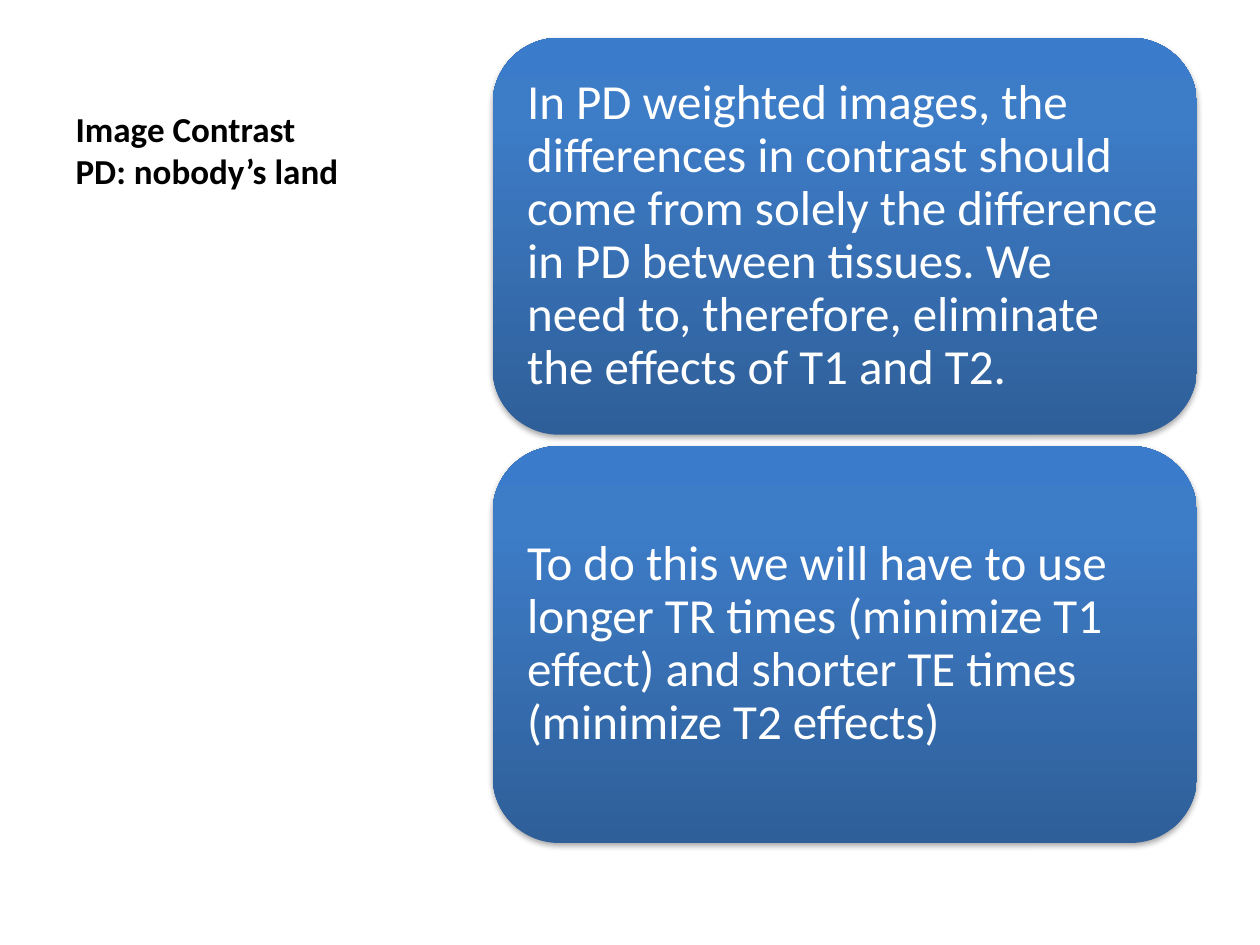
from copy import deepcopy

from lxml.etree import SubElement
from pptx import Presentation
from pptx.dml.color import RGBColor
from pptx.enum.shapes import MSO_SHAPE as Shape
from pptx.enum.text import MSO_ANCHOR as Anchor, MSO_AUTO_SIZE as AutoSize, PP_ALIGN as Align
from pptx.oxml.ns import qn
from pptx.util import Inches, Pt

TITLE_ONLY = 5
FONT = "Calibri"
GRADIENT = [(0, "2F5F99"), (0.8, "3D7CC7"), (1, "3A7CCB")]  # bottom to top

PANEL_LEFT, PANEL_TOP = 3.91, 0.3
PANEL_WIDTH, PANEL_HEIGHT = 5.59, 3.15
PANEL_GAP = 0.09
PANEL_TEXTS = [
    "In PD weighted images, the differences in contrast should come from solely "
    "the difference in PD between tissues. We need to, therefore, eliminate the "
    "effects of T1 and T2.",
    "To do this we will have to use longer TR times (minimize T1 effect) and "
    "shorter TE times (minimize T2 effects)",
]


def color(hex_string):
    return RGBColor.from_string(hex_string)


def style_paragraph(paragraph, size, hex_string, bold=False):
    paragraph.alignment = Align.LEFT
    font = paragraph.font
    font.name, font.size, font.bold = FONT, Pt(size), bold
    font.color.rgb = color(hex_string)


def add_title(slide, text):
    title = slide.shapes.title
    title.left, title.top = Inches(0.5), Inches(0.3)
    title.width, title.height = Inches(3.29), Inches(1.27)
    frame = title.text_frame
    frame.text = text
    frame.auto_size = AutoSize.NONE
    frame.vertical_anchor = Anchor.BOTTOM
    style_paragraph(frame.paragraphs[0], 20, "000000", bold=True)


def fill_gradient(shape):
    fill = shape.fill
    fill.gradient()
    fill.gradient_angle = 90
    # A new gradient has two stops; the third is added here
    stop_list = shape._element.spPr.find(qn("a:gradFill")).find(qn("a:gsLst"))
    stop_list.append(deepcopy(stop_list[-1]))
    for stop, (position, hex_string) in zip(fill.gradient_stops, GRADIENT):
        stop.position = position
        stop.color.rgb = color(hex_string)


def add_shadow(shape):
    shape.shadow.inherit = False
    effects = shape._element.spPr.find(qn("a:effectLst"))
    shadow = SubElement(effects, qn("a:outerShdw"), blurRad=str(Pt(3.1)),
                        dist=str(Pt(1.8)), dir="5400000", rotWithShape="0")
    black = SubElement(shadow, qn("a:srgbClr"), val="000000")
    SubElement(black, qn("a:alpha"), val="35000")


def add_panel(slide, top, text):
    panel = slide.shapes.add_shape(
        Shape.ROUNDED_RECTANGLE, Inches(PANEL_LEFT), Inches(top),
        Inches(PANEL_WIDTH), Inches(PANEL_HEIGHT))
    fill_gradient(panel)
    panel.line.fill.background()
    add_shadow(panel)

    frame = panel.text_frame
    frame.word_wrap = True
    frame.vertical_anchor = Anchor.MIDDLE
    frame.margin_left = frame.margin_right = Inches(0.12)
    frame.margin_top = frame.margin_bottom = Inches(0.12)
    frame.text = text
    paragraph = frame.paragraphs[0]
    paragraph.line_spacing = 0.9
    style_paragraph(paragraph, 28, "FFFFFF")


def main():
    presentation = Presentation()
    presentation.slide_width, presentation.slide_height = Inches(10), Inches(7.5)
    slide = presentation.slides.add_slide(presentation.slide_layouts[TITLE_ONLY])

    add_title(slide, "Image Contrast\vPD: nobody’s land")
    for index, text in enumerate(PANEL_TEXTS):
        add_panel(slide, PANEL_TOP + index * (PANEL_HEIGHT + PANEL_GAP), text)

    presentation.save("out.pptx")


if __name__ == "__main__":
    main()
